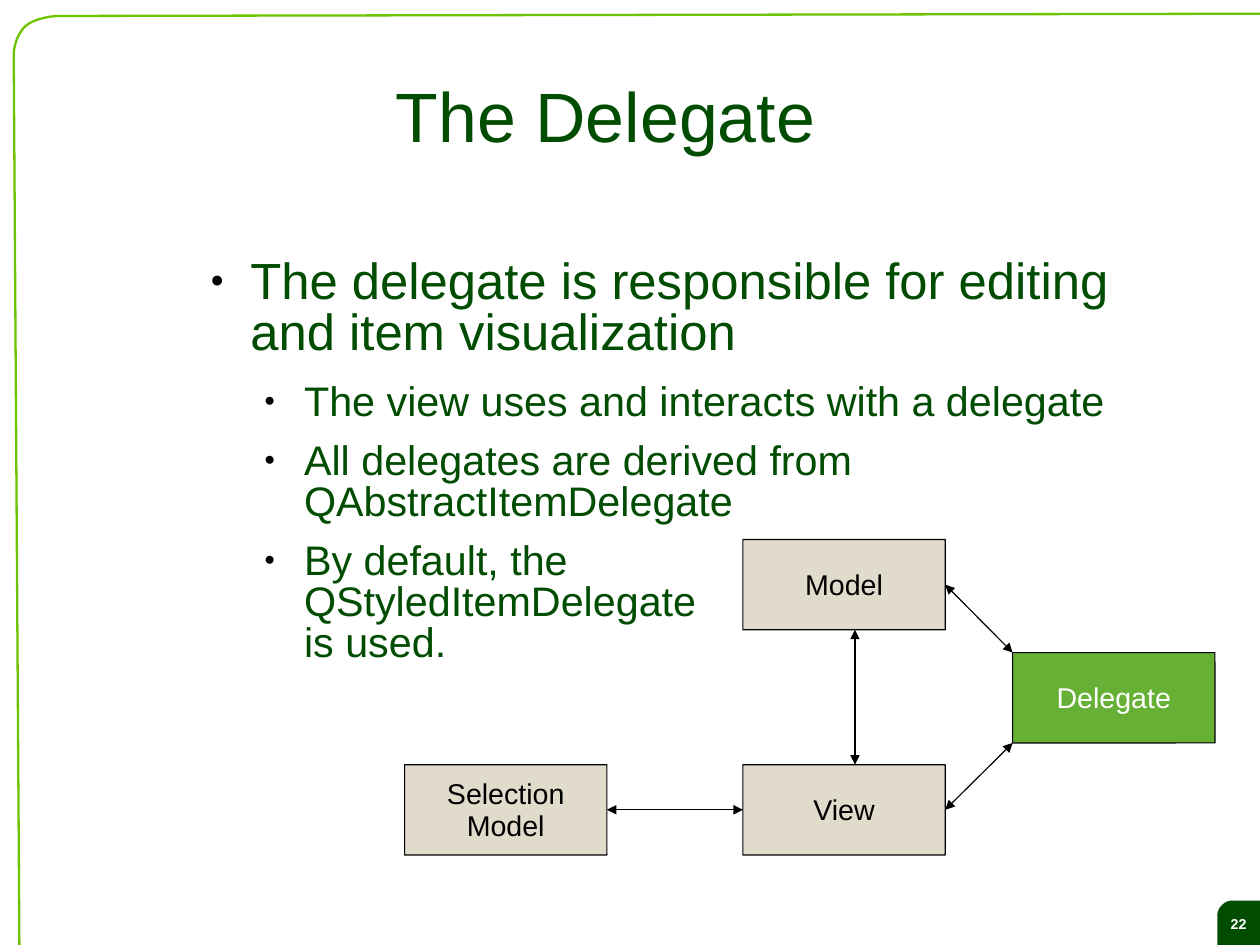
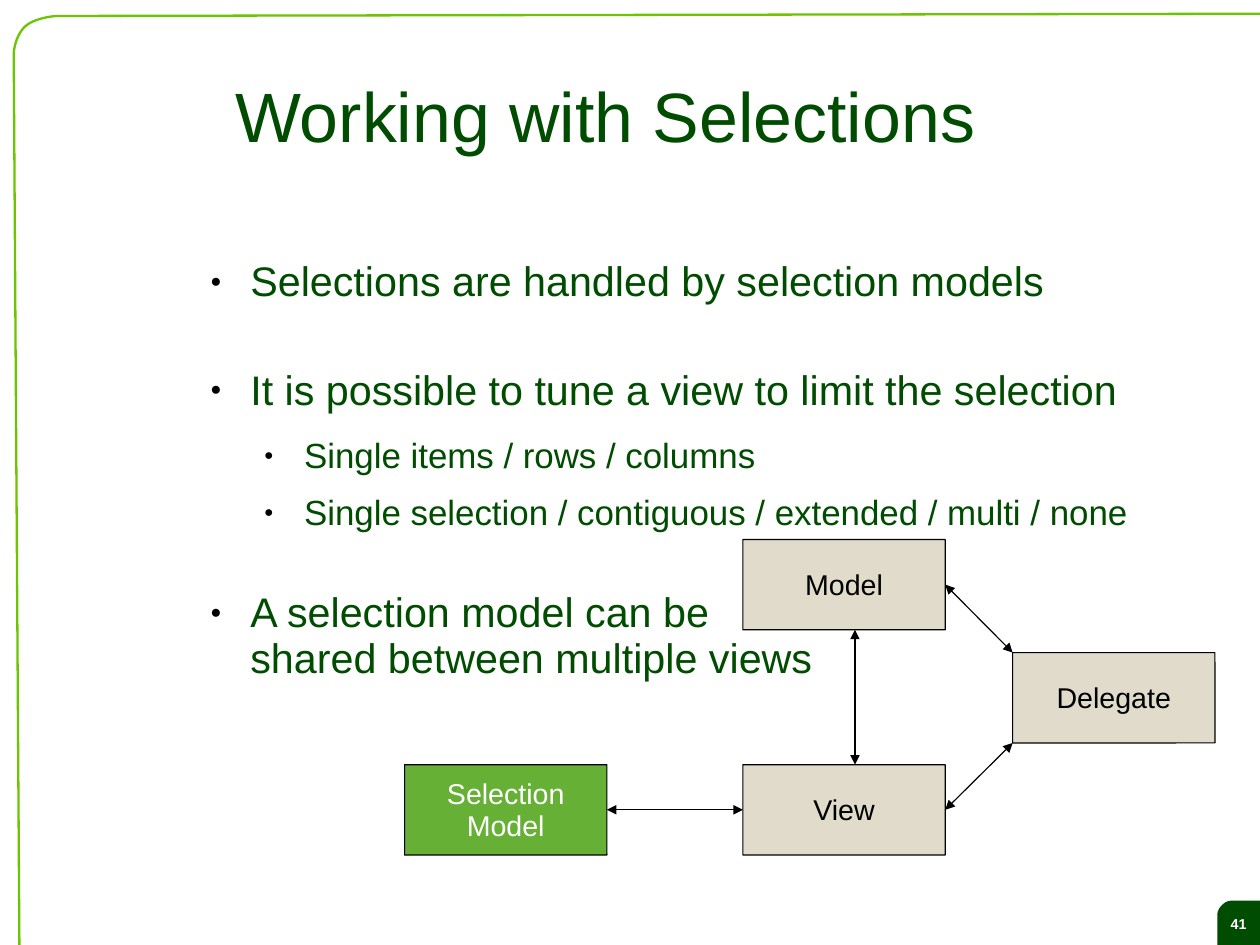
import dataclasses

import pptx
import pptx.dml.color
import pptx.enum.shapes
import pptx.enum.text
import pptx.oxml
import pptx.oxml.ns
import pptx.util

Inches = pptx.util.Inches
Points = pptx.util.Pt
Color = pptx.dml.color.RGBColor.from_string
Align = pptx.enum.text.PP_ALIGN
Anchor = pptx.enum.text.MSO_ANCHOR
Shape = pptx.enum.shapes.MSO_SHAPE
Straight = pptx.enum.shapes.MSO_CONNECTOR.STRAIGHT
DRAWING = pptx.oxml.ns.nsdecls("a")


@dataclasses.dataclass
class Theme:
    font: str = "Arial"
    dark: str = "004C00"
    frame: str = "6DC400"
    accent: str = "66B036"
    sand: str = "E0DBCA"
    black: str = "000000"
    white: str = "FFFFFF"
    title: int = 44
    large: int = 32
    medium: int = 26
    small: int = 22
    label: int = 18
    number: int = 9
    thin: float = 0.74
    thick: float = 1.45
    spacing: float = 0.93


theme = Theme()
WIDTH, HEIGHT = 28 / 2.54, 21 / 2.54  # 28 by 21 cm


def write(box, text, size, color=theme.dark, bold=False, align=Align.CENTER,
          anchor=Anchor.MIDDLE, insets=(0, 0, 0, 0), spacing=theme.spacing,
          after=0, level=None):
    """Add one paragraph to a box; a level (0 or 1) makes it a bullet."""
    frame = box.text_frame
    frame.word_wrap = True
    frame.vertical_anchor = anchor
    (frame.margin_left, frame.margin_top,
     frame.margin_right, frame.margin_bottom) = map(Inches, insets)
    para = frame.add_paragraph() if frame.text else frame.paragraphs[0]
    para.alignment = align
    para.line_spacing = spacing
    para.space_after = Points(after)
    if level is not None:
        para.level = level
        properties = para._p.get_or_add_pPr()
        properties.set("marL", str(Inches(0.47 * (level + 1))))
        properties.set("indent", str(Inches(-0.35)))
        for xml in (f'<a:buClr {DRAWING}><a:srgbClr val="{theme.black}"/></a:buClr>',
                    f'<a:buSzPct {DRAWING} val="45000"/>',
                    f'<a:buFont {DRAWING} typeface="{theme.font}"/>',
                    f'<a:buChar {DRAWING} char="●"/>'):
            properties.append(pptx.oxml.parse_xml(xml))
    for index, line in enumerate(text.split("\n")):
        if index:
            para.add_line_break()
        span = para.add_run()
        span.text = line
        span.font.name = theme.font
        span.font.size = Points(size)
        span.font.bold = bold
        span.font.color.rgb = Color(color)


def draw_outline(page, start, curves, end, close):
    """Draw a path from start through joined Bezier curves to the end points."""
    points = [start, curves[0][0]]
    for curve in curves:
        for step in range(1, 13):
            t = step / 12
            weights = ((1 - t) ** 3, 3 * t * (1 - t) ** 2, 3 * t * t * (1 - t), t ** 3)
            points.append(tuple(sum(weight * point[axis] for weight, point in zip(weights, curve))
                                for axis in (0, 1)))
    points = [(Inches(x), Inches(y)) for x, y in points + end]
    builder = page.shapes.build_freeform(*points[0])
    builder.add_line_segments(points[1:], close=close)
    shape = builder.convert_to_shape()
    shape.shadow.inherit = False
    return shape


# Shared outlines
frame_curves = [((0.5, 0.14), (0.49, 0.14), (0.3, 0.15), (0.21, 0.24)),
                ((0.21, 0.24), (0.12, 0.34), (0.12, 0.48), (0.12, 0.48))]
badge_curves = [((10.79, 7.88), (10.76, 7.88), (10.73, 7.88), (10.69, 7.92)),
                ((10.69, 7.92), (10.65, 7.96), (10.65, 8), (10.65, 8.01))]

# Shared diagram
BOX_WIDTH, BOX_HEIGHT = 1.77, 0.79
boxes = {"Model": (6.5, 4.72), "View": (6.5, 6.69),
         "Delegate": (8.86, 5.71), "Selection\nModel": (3.54, 6.69)}
model_x, model_y = boxes["Model"]
view_x, view_y = boxes["View"]
delegate_x, delegate_y = boxes["Delegate"]
selection_x, selection_y = boxes["Selection\nModel"]
right, middle = model_x + BOX_WIDTH, BOX_HEIGHT / 2
arrows = [
    (selection_x + BOX_WIDTH, selection_y + middle, view_x, view_y + middle),
    (7.48, view_y, 7.48, model_y + BOX_HEIGHT),
    (right, view_y + middle, delegate_x, delegate_y + BOX_HEIGHT),
    (delegate_x, delegate_y, right, model_y + middle),
]

# Slide contents: bullets are (level, size, space after, text)
GAP = 25.2
slides = [
    dict(title="The Delegate", number="22", active="Delegate",
         spacing=0.83, body_height=3.93, bullets=[
        (0, theme.large, 14.3, "The delegate is responsible for editing and item visualization"),
        (1, theme.medium, 11.4, "The view uses and interacts with a delegate"),
        (1, theme.medium, 11.4, "All delegates are derived from QAbstractItemDelegate"),
        (1, theme.medium, 11.4, "By default, the \nQStyledItemDelegate \nis used."),
    ]),
    dict(title="Working with Selections", number="41", active="Selection\nModel",
         spacing=theme.spacing, body_height=4.99, bullets=[
        (0, theme.medium, 14.3 + GAP, "Selections are handled by selection models"),
        (0, theme.medium, 14.3, "It is possible to tune a view to limit the selection"),
        (1, theme.small, 11.4, "Single items / rows / columns"),
        (1, theme.small, 11.4 + GAP, "Single selection / contiguous / extended / multi / none"),
        (0, theme.medium, 14.3, "A selection model can be \nshared between multiple views"),
    ]),
]

deck = pptx.Presentation()
deck.slide_width, deck.slide_height = Inches(WIDTH), Inches(HEIGHT)

for content in slides:
    page = deck.slides.add_slide(deck.slide_layouts[6])

    # Page number badge and frame line
    badge = draw_outline(page, (WIDTH, 7.88), badge_curves,
                         [(10.65, HEIGHT), (WIDTH, HEIGHT)], close=True)
    badge.fill.solid()
    badge.fill.fore_color.rgb = Color(theme.dark)
    badge.line.fill.background()
    write(badge, content["number"], theme.number, theme.white, bold=True,
          insets=(0, 0.04, 0, 0))
    border = draw_outline(page, (WIDTH, 0.12), frame_curves, [(0.17, HEIGHT)], close=False)
    border.fill.background()
    border.line.color.rgb = Color(theme.frame)
    border.line.width = Points(theme.thick)

    # Title and bullets
    title = page.shapes.add_textbox(Inches(1.72), Inches(0.33), Inches(7.16), Inches(1.38))
    write(title, content["title"], theme.title, insets=(0, 0.04, 0, 0))
    body = page.shapes.add_textbox(Inches(1.72), Inches(2.24), Inches(8.79),
                                   Inches(content["body_height"]))
    for level, size, after, text in content["bullets"]:
        write(body, text, size, align=Align.LEFT, anchor=Anchor.TOP, insets=(0, 0.03, 0, 0),
              spacing=content["spacing"], after=after, level=level)

    # Diagram boxes
    for name, (left, top) in boxes.items():
        active = name == content["active"]
        box = page.shapes.add_shape(Shape.ROUNDED_RECTANGLE, Inches(left), Inches(top),
                                    Inches(BOX_WIDTH), Inches(BOX_HEIGHT))
        box.adjustments[0] = 0.002
        box.shadow.inherit = False
        box.fill.solid()
        box.fill.fore_color.rgb = Color(theme.accent if active else theme.sand)
        box.line.color.rgb = Color(theme.black)
        box.line.width = Points(theme.thin)
        for line in name.split("\n"):
            write(box, line, theme.label, theme.white if active else theme.black,
                  insets=(0.1, 0.07, 0.1, 0.05))

    # Double-headed arrows
    for ends in arrows:
        arrow = page.shapes.add_connector(Straight, *map(Inches, ends))
        arrow.line.color.rgb = Color(theme.black)
        arrow.line.width = Points(theme.thin)
        outline = arrow.line._get_or_add_ln()
        for tag in ("headEnd", "tailEnd"):
            outline.append(pptx.oxml.parse_xml(f'<a:{tag} {DRAWING} type="triangle"/>'))
        arrow._element.spPr.append(pptx.oxml.parse_xml(f"<a:effectLst {DRAWING}/>"))

deck.save("out.pptx")
